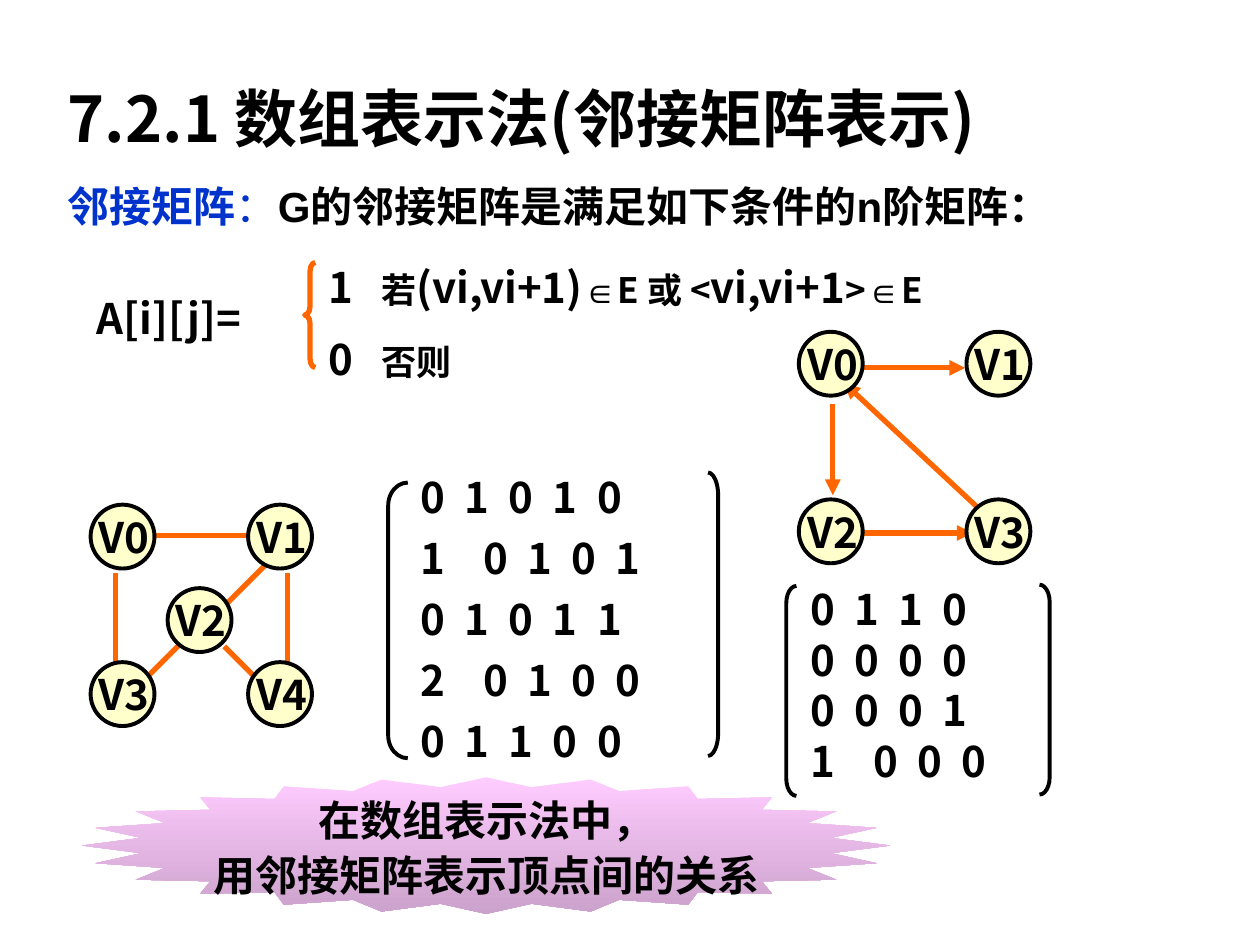
"""Build a slide that explains the adjacency matrix of a graph."""
from dataclasses import dataclass

from lxml import etree
from pptx import Presentation
from pptx.dml.color import RGBColor
from pptx.enum import shapes, text
from pptx.oxml.ns import qn
from pptx.util import Pt


@dataclass(frozen=True)
class Theme:
    """Colours, fonts and sizes of the slide."""
    ink: str = "000000"
    term: str = "0033CC"
    edge: str = "FF6600"
    node: str = "FFFFCC"
    star_top: str = "FFCCFF"
    star_bottom: str = "CBA2CB"
    main: str = "Noto Sans CJK SC"
    latin: str = "Arial"
    title: float = 36
    body: float = 24
    small: float = 20
    leading: float = 1.2
    edge_width: float = 3
    outline: float = 2.25


THEME = Theme()


def color(value):
    """Turn a hex string into a colour."""
    return RGBColor.from_string(value)


def add_run(paragraph, words, size=THEME.body, font=THEME.main, ink=THEME.ink, bold=True):
    """Add one formatted run."""
    run = paragraph.add_run()
    run.text = words
    run.font.size = Pt(size)
    run.font.bold = bold
    run.font.name = font
    run.font.color.rgb = color(ink)
    etree.SubElement(run._r.get_or_add_rPr(), qn("a:ea")).set("typeface", font)


def set_tabs(paragraph, stops):
    """Give a paragraph left tab stops in points."""
    tab_list = etree.SubElement(paragraph._p.get_or_add_pPr(), qn("a:tabLst"))
    for stop in stops:
        etree.SubElement(tab_list, qn("a:tab"), pos=str(int(Pt(stop))), algn="l")


def fill_frame(frame, rows, gap=0, size=THEME.body, align=text.PP_ALIGN.LEFT, stops=None):
    """Write rows of runs, with an optional list of tab stops for each row."""
    frame.margin_left = frame.margin_right = Pt(7.2)
    frame.margin_top = Pt(3.6 + 0.075 * size)
    frame.margin_bottom = Pt(3.6)
    for index, runs in enumerate(rows):
        paragraph = frame.add_paragraph() if index else frame.paragraphs[0]
        if stops:
            set_tabs(paragraph, stops[index])
        paragraph.alignment = align
        paragraph.line_spacing = Pt(THEME.leading * (THEME.body if index else size))
        if index:
            paragraph.space_before = Pt(gap)
        for words, style in runs:
            add_run(paragraph, words, **style)


def add_text(slide, box, rows, **options):
    """Add a wrapping text box."""
    frame = slide.shapes.add_textbox(*map(Pt, box)).text_frame
    frame.word_wrap = True
    fill_frame(frame, rows, **options)


def add_shape(slide, kind, box, fill=None, line=None, width=THEME.outline):
    """Add a preset shape with plain styling."""
    shape = slide.shapes.add_shape(kind, *map(Pt, box))
    shape.shadow.inherit = False
    if fill:
        shape.fill.solid()
        shape.fill.fore_color.rgb = color(fill)
    else:
        shape.fill.background()
    if line:
        shape.line.color.rgb = color(line)
        shape.line.width = Pt(width)
    else:
        shape.line.fill.background()
    return shape


def add_bracket(slide, kind, box, line=THEME.ink, width=THEME.outline):
    """Add a bracket or brace whose corners take a twelfth of its height."""
    shape = add_shape(slide, kind, box, line=line, width=width)
    shape.adjustments[0] = box[3] / 12 / box[2]


def add_heading(slide, box):
    """Add the title and the lead sentence."""
    latin = {"font": THEME.latin}
    add_text(slide, box, [
        [("7.2.1 数组表示法(邻接矩阵表示)", {"size": THEME.title})],
        [("邻接矩阵", {**latin, "ink": THEME.term}),
         ("：", {**latin, "ink": THEME.term, "bold": False}),
         ("G的邻接矩阵是满足如下条件的n阶矩阵：", latin)],
    ], gap=15, size=THEME.title)


def add_definition(slide, box):
    """Add the piecewise definition of A[i][j]."""
    left, top, width, height = box
    small = {"size": THEME.small}
    symbol = {**small, "font": THEME.latin}
    add_text(slide, (left, top + 18, 120, 36), [[("A[i][j]=", {})]])
    add_text(slide, (left + 132.5, top, width - 132.5, height), [
        [("1\t", {}), ("若", small), ("(vi,vi+1)", {}), ("∈", symbol), ("E 或 <", small),
         ("vi,vi+1", {}), (">", small), ("∈", symbol), ("E", small)],
        [("0\t", {}), ("否则", small)],
    ], gap=12.5, stops=[[30], [30]])
    add_bracket(slide, shapes.MSO_SHAPE.LEFT_BRACE, (left + 126, top + 6, 6, 60),
                THEME.edge, THEME.edge_width)


def add_matrix(slide, box, rows, left_bracket, right_bracket, gap=0, wide_rows=()):
    """Add a bracketed matrix; wide rows have a larger first column."""
    step = 25.2
    stops = [[(36 if index in wide_rows else step) + step * column
              for column in range(len(row) - 1)] for index, row in enumerate(rows)]
    add_text(slide, box, [[("\t".join(row), {})] for row in rows], gap=gap, stops=stops)
    add_bracket(slide, shapes.MSO_SHAPE.LEFT_BRACKET, left_bracket)
    add_bracket(slide, shapes.MSO_SHAPE.RIGHT_BRACKET, right_bracket)


def add_edge(slide, start, end, directed):
    """Add a graph edge, with an arrowhead if directed."""
    edge = slide.shapes.add_connector(shapes.MSO_CONNECTOR.STRAIGHT, *map(Pt, (*start, *end)))
    edge.line.color.rgb = color(THEME.edge)
    edge.line.width = Pt(THEME.edge_width)
    if directed:
        etree.SubElement(edge.line._get_or_add_ln(), qn("a:tailEnd"), type="triangle")
    etree.SubElement(edge._element.spPr, qn("a:effectLst"))


def add_graph(slide, origin, nodes, edges, directed=False):
    """Add edges, then labelled nodes, relative to the origin."""
    left, top = origin
    for x1, y1, x2, y2 in edges:
        add_edge(slide, (left + x1, top + y1), (left + x2, top + y2), directed)
    for index, (x, y) in enumerate(nodes):
        node = add_shape(slide, shapes.MSO_SHAPE.OVAL, (left + x, top + y, 36.5, 36.5),
                         THEME.node, THEME.ink)
        frame = node.text_frame
        fill_frame(frame, [[(f"V{index}", {})]], align=text.PP_ALIGN.CENTER)
        frame.margin_left, frame.margin_right = Pt(2), Pt(0)
        frame.margin_top = frame.margin_bottom = Pt(0)
        frame.vertical_anchor = text.MSO_ANCHOR.MIDDLE
        frame.word_wrap = False


def add_summary(slide, box):
    """Add the star with the closing statement."""
    star = add_shape(slide, shapes.MSO_SHAPE.STAR_24_POINT, box)
    star.adjustments[0] = 0.43
    star.fill.gradient()
    star.fill.gradient_angle = 270
    for stop, value in zip(star.fill.gradient_stops, (THEME.star_top, THEME.star_bottom)):
        stop.color.rgb = color(value)
    frame = star.text_frame
    fill_frame(frame, [[("在数组表示法中，", {})], [("用邻接矩阵表示顶点间的关系", {})]],
               gap=3, align=text.PP_ALIGN.CENTER)
    frame.vertical_anchor = text.MSO_ANCHOR.MIDDLE
    frame.word_wrap = False


def main():
    """Build and save the presentation."""
    presentation = Presentation()
    presentation.slide_width, presentation.slide_height = Pt(720), Pt(540)
    slide = presentation.slides.add_slide(presentation.slide_layouts[6])
    add_definition(slide, (48.2, 144, 660, 77.8))
    add_matrix(slide, (233.3, 264.2, 166, 175.7), ["01010", "10101", "01011", "20100", "01100"],
               (221.8, 275.8, 11.2, 157.5), (404.6, 270, 5.8, 162), gap=6, wide_rows=(1, 3))
    add_matrix(slide, (455.8, 328.3, 250, 122.4), ["0110", "0000", "0001", "1000"],
               (449.3, 334.8, 5.8, 120), (594, 334.1, 5.8, 120), wide_rows=(3,))
    add_heading(slide, (31.7, 38.9, 630.7, 94.3))
    add_summary(slide, (46.8, 444.2, 462, 78))
    add_graph(slide, (51.8, 288.4), [(0, 0), (90, 0), (44, 47.7), (0, 90), (90, 90)], [
        (14.4, 39.2, 14.4, 91), (35.3, 17.6, 95.1, 17.6), (112.4, 39.2, 112.4, 91),
        (52.6, 78.1, 31, 99.7), (99.4, 34.9, 77.8, 56.5), (76.4, 81, 95.1, 99.7)])
    add_graph(slide, (456.5, 189.6), [(x, y) for y in (0, 95.8) for x in (0, 95.8)], [
        (19.4, 41.5, 19.4, 93.4), (36, 115, 99.3, 115),
        (36, 20.6, 95, 20.6), (110.1, 107.8, 25.9, 29.3)], directed=True)
    presentation.save("out.pptx")


if __name__ == "__main__":
    main()
